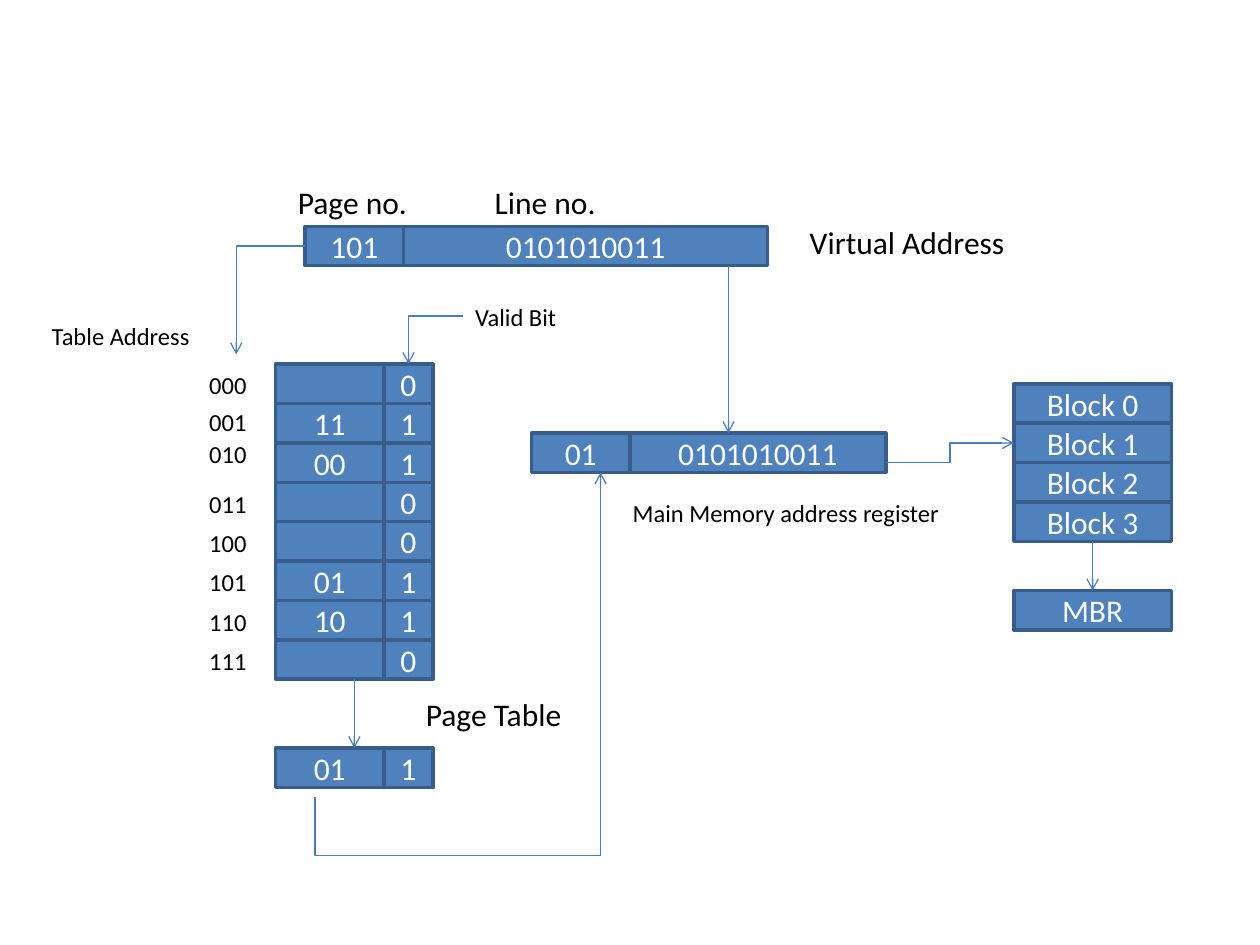
import dataclasses
import typing

import lxml.etree
import pptx
import pptx.dml.color
import pptx.enum.shapes
import pptx.enum.text
import pptx.oxml.ns
import pptx.util

PIXELS_PER_INCH = 128
ROW_HEIGHT = 40


@dataclasses.dataclass(frozen=True)
class Theme:
    font: str = "Calibri"
    large: int = 18
    small: int = 14
    text: str = "000000"
    cell_text: str = "FFFFFF"
    cell_fill: str = "4F81BD"
    cell_border: str = "385D8A"
    arrow: str = "4A7EBB"
    border_width: float = 2
    arrow_width: float = 0.75


THEME = Theme()


class Strip(typing.NamedTuple):
    left: int
    top: int
    widths: tuple[int, ...]
    rows: tuple[tuple[str, ...], ...]


class Label(typing.NamedTuple):
    text: str
    left: int
    top: int
    width: int
    size: int = THEME.small


class Arrow(typing.NamedTuple):
    start: tuple[int, int]
    end: tuple[int, int]
    preset: str = "line"
    bend: float | None = None
    upright: bool = False


PAGE_TABLE = Strip(280, 370, (110, 50), (
    ("", "0"), ("11", "1"), ("00", "1"), ("", "0"),
    ("", "0"), ("01", "1"), ("10", "1"), ("", "0"),
))

STRIPS = (
    Strip(310, 230, (100, 370), (("101", "0101010011"),)),
    PAGE_TABLE,
    Strip(280, 760, (110, 50), (("01", "1"),)),
    Strip(540, 440, (100, 260), (("01", "0101010011"),)),
    Strip(1030, 390, (160,), tuple((f"Block {number}",) for number in range(4))),
    Strip(1030, 600, (160,), (("MBR",),)),
)

ROW_LABEL_SHIFTS = {1: -3, 2: -10}

LABELS = (
    Label("Page no.", 290, 180, 190, THEME.large),
    Label("Line no.", 490, 180, 190, THEME.large),
    Label("Virtual Address", 810, 220, 390, THEME.large),
    Label("Table Address", 40, 320, 180),
    Label("Valid Bit", 470, 300, 180),
    Label("Main Memory address register", 630, 500, 340),
    Label("Page Table", 420, 700, 170, THEME.large),
) + tuple(
    Label(f"{row:03b}", 200, PAGE_TABLE.top + row * ROW_HEIGHT + ROW_LABEL_SHIFTS.get(row, 0), 80)
    for row in range(len(PAGE_TABLE.rows))
)

ARROWS = (
    Arrow((310, 250), (240, 360), "bentConnector2"),
    Arrow((470, 321), (415, 370), "bentConnector2"),
    Arrow((360, 690), (360, 760)),
    Arrow((320, 810), (610, 480), "bentConnector3", bend=-0.18, upright=True),
    Arrow((740, 270), (740, 440)),
    Arrow((900, 470), (1030, 450), "bentConnector3", bend=0.5),
    Arrow((1110, 550), (1110, 600)),
)


def px(length: float) -> pptx.util.Emu:
    return pptx.util.Emu(round(length * 914400 / PIXELS_PER_INCH))


def color(value: str) -> pptx.dml.color.RGBColor:
    return pptx.dml.color.RGBColor.from_string(value)


def add_element(parent, tag: str, **attributes: str):
    return lxml.etree.SubElement(parent, pptx.oxml.ns.qn(tag), attributes)


def write_text(shape, text: str, *, size: int, text_color: str,
               alignment=pptx.enum.text.PP_ALIGN.LEFT,
               anchor=pptx.enum.text.MSO_ANCHOR.TOP) -> None:
    frame = shape.text_frame
    frame.word_wrap = True
    frame.vertical_anchor = anchor
    paragraph = frame.paragraphs[0]
    paragraph.alignment = alignment
    run = paragraph.add_run()
    run.text = text
    run.font.name = THEME.font
    run.font.size = pptx.util.Pt(size)
    run.font.color.rgb = color(text_color)


def draw_cell(slide, text: str, left: int, top: int, width: int) -> None:
    shape = slide.shapes.add_shape(
        pptx.enum.shapes.MSO_SHAPE.RECTANGLE, px(left), px(top), px(width), px(ROW_HEIGHT))
    shape.shadow.inherit = False
    shape.fill.solid()
    shape.fill.fore_color.rgb = color(THEME.cell_fill)
    shape.line.color.rgb = color(THEME.cell_border)
    shape.line.width = pptx.util.Pt(THEME.border_width)
    if text:
        write_text(shape, text, size=THEME.large, text_color=THEME.cell_text,
                   alignment=pptx.enum.text.PP_ALIGN.CENTER,
                   anchor=pptx.enum.text.MSO_ANCHOR.MIDDLE)


def draw_strip(slide, strip: Strip) -> None:
    for row, texts in enumerate(strip.rows):
        for column, text in enumerate(texts):
            left = strip.left + sum(strip.widths[:column])
            draw_cell(slide, text, left, strip.top + row * ROW_HEIGHT, strip.widths[column])


def draw_label(slide, label: Label) -> None:
    height = 51 if label.size == THEME.large else 43
    shape = slide.shapes.add_textbox(px(label.left), px(label.top), px(label.width), px(height))
    write_text(shape, label.text, size=label.size, text_color=THEME.text)
    shape.text_frame.auto_size = pptx.enum.text.MSO_AUTO_SIZE.SHAPE_TO_FIT_TEXT


def turn_back(point: tuple[int, int], center: tuple[float, float]) -> tuple[float, float]:
    return center[0] + point[1] - center[1], center[1] - point[0] + center[0]


def draw_arrow(slide, arrow: Arrow) -> None:
    start, end = arrow.start, arrow.end
    if arrow.upright:
        center = ((start[0] + end[0]) / 2, (start[1] + end[1]) / 2)
        start, end = turn_back(start, center), turn_back(end, center)
    connector = slide.shapes.add_connector(
        pptx.enum.shapes.MSO_CONNECTOR.STRAIGHT, *map(px, start + end))
    connector.line.color.rgb = color(THEME.arrow)
    connector.line.width = pptx.util.Pt(THEME.arrow_width)
    properties = connector._element.spPr
    add_element(properties.find(pptx.oxml.ns.qn("a:ln")), "a:tailEnd", type="arrow")
    add_element(properties, "a:effectLst")
    geometry = properties.find(pptx.oxml.ns.qn("a:prstGeom"))
    geometry.set("prst", arrow.preset)
    if arrow.bend is not None:
        add_element(geometry.find(pptx.oxml.ns.qn("a:avLst")), "a:gd",
                    name="adj1", fmla=f"val {round(arrow.bend * 100000)}")
    if arrow.upright:
        properties.find(pptx.oxml.ns.qn("a:xfrm")).set("rot", str(90 * 60000))


def main() -> None:
    presentation = pptx.Presentation()
    presentation.slide_width = px(1280)
    presentation.slide_height = px(960)
    slide = presentation.slides.add_slide(presentation.slide_layouts[6])
    for strip in STRIPS:
        draw_strip(slide, strip)
    for label in LABELS:
        draw_label(slide, label)
    for arrow in ARROWS:
        draw_arrow(slide, arrow)
    presentation.save("out.pptx")


if __name__ == "__main__":
    main()
